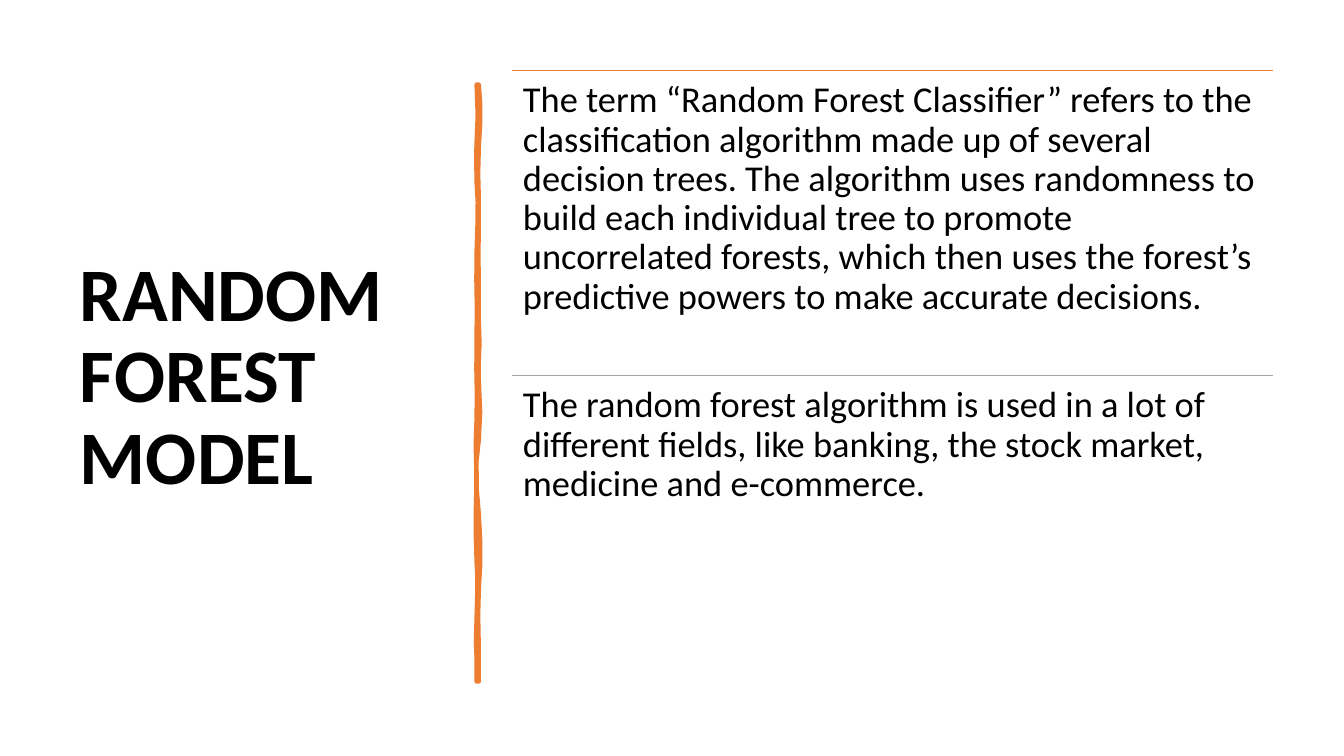
from typing import NamedTuple

from lxml.etree import SubElement
from pptx import Presentation
from pptx.dml.color import RGBColor
from pptx.enum.shapes import MSO_CONNECTOR
from pptx.enum.text import MSO_ANCHOR, MSO_AUTO_SIZE, PP_ALIGN
from pptx.oxml.ns import qn
from pptx.slide import Slide
from pptx.text.text import TextFrame
from pptx.util import Cm, Pt

COLORS = {"text": "000000", "accent": "ED7D31", "gray": "A5A5A5"}
FONT = "Calibri"
LEFT, WIDTH = 12.9, 19.18  # text column, cm
TOP, ROW_HEIGHT = 1.77, 7.69

# Divider outline, in inches
RIGHT_X, LEFT_X = 4.75, 4.73
DIVIDER_TOP, DIVIDER_BOTTOM = 0.84, 6.76
UNITS = 1000  # freeform units per inch
STEPS = 3  # line segments per curve


class Bend(NamedTuple):
    """A curve along one edge: two control points and the end height."""
    x1: float
    y1: float
    x2: float
    y2: float
    end: float


class Statement(NamedTuple):
    text: str
    rule: str


RIGHT_EDGE = [
    Bend(4.77, 1.02, 4.77, 1.19, 1.46), Bend(4.73, 1.73, 4.76, 1.95, 2.26),
    Bend(4.74, 2.57, 4.75, 2.62, 2.94), Bend(4.74, 3.25, 4.77, 3.42, 3.56),
    Bend(4.73, 3.7, 4.79, 4.14, 4.36), Bend(4.71, 4.57, 4.72, 4.84, 5.1),
    Bend(4.77, 5.36, 4.77, 5.64, 5.84), Bend(4.73, 6.03, 4.76, 6.5, 6.76),
]
LEFT_EDGE = [
    Bend(4.74, 6.46, 4.71, 6.44, 6.13), Bend(4.74, 5.83, 4.74, 5.7, 5.57),
    Bend(4.72, 5.44, 4.72, 4.95, 4.77), Bend(4.73, 4.59, 4.71, 4.45, 4.15),
    Bend(4.74, 3.86, 4.72, 3.73, 3.35), Bend(4.74, 2.98, 4.72, 2.81, 2.5),
    Bend(4.74, 2.18, 4.75, 2, 1.81), Bend(4.7, 1.63, 4.77, 1.04, 0.84),
]
STATEMENTS = [
    Statement("The term “Random Forest Classifier” refers to the classification "
              "algorithm made up of several decision trees. The algorithm uses "
              "randomness to build each individual tree to promote uncorrelated "
              "forests, which then uses the forest’s predictive powers to make "
              "accurate decisions.", "accent"),
    Statement("The random forest algorithm is used in a lot of different fields, "
              "like banking, the stock market, medicine and e-commerce.", "gray"),
]


def color(name: str) -> RGBColor:
    return RGBColor.from_string(COLORS[name])


def write(tf: TextFrame, text: str, size: int, bold: bool = False) -> None:
    tf.word_wrap = True
    tf.auto_size = MSO_AUTO_SIZE.NONE
    tf.text = text
    p = tf.paragraphs[0]
    p.alignment = PP_ALIGN.LEFT
    p.line_spacing = 0.9
    p.font.name, p.font.size, p.font.bold = FONT, Pt(size), bold
    p.font.color.rgb = color("text")


def edge(x: float, start: float, bends: list[Bend]) -> list[tuple[float, float]]:
    """Points along a chain of cubic curves whose ends share one x."""
    points = [(x * UNITS, start * UNITS)]
    for b in bends:
        for i in range(1, STEPS + 1):
            t = i / STEPS
            u = 1 - t
            px = (u**3 + t**3) * x + 3 * u * t * (u * b.x1 + t * b.x2)
            py = u**3 * start + 3 * u * t * (u * b.y1 + t * b.y2) + t**3 * b.end
            points.append((px * UNITS, py * UNITS))
        start = b.end
    return points


def draw_divider(s: Slide) -> None:
    points = (edge(RIGHT_X, DIVIDER_TOP, RIGHT_EDGE)
              + edge(LEFT_X, DIVIDER_BOTTOM, LEFT_EDGE))
    builder = s.shapes.build_freeform(*points[0], scale=Cm(2.54) / UNITS)
    builder.add_line_segments(points[1:], close=True)
    sp = builder.convert_to_shape()
    sp.shadow.inherit = False
    sp.fill.solid()
    sp.fill.fore_color.rgb = color("accent")
    sp.line.color.rgb = color("accent")
    sp.line.width = Pt(3.25)
    SubElement(sp._element.spPr.find(qn("a:ln")), qn("a:round"))


def draw_rule(s: Slide, y: float, name: str) -> None:
    line = s.shapes.add_connector(MSO_CONNECTOR.STRAIGHT, Cm(LEFT), Cm(y),
                                  Cm(LEFT + WIDTH), Cm(y))
    line.line.color.rgb = color(name)
    line.line.width = Pt(1)
    SubElement(line._element.spPr, qn("a:effectLst"))


def draw_statement(s: Slide, y: float, item: Statement) -> None:
    draw_rule(s, y, item.rule)
    tf = s.shapes.add_textbox(Cm(LEFT), Cm(y), Cm(WIDTH), Cm(ROW_HEIGHT)).text_frame
    tf.margin_left = tf.margin_right = tf.margin_top = tf.margin_bottom = Cm(0.28)
    write(tf, item.text, 26)


prs = Presentation()
prs.slide_width, prs.slide_height = Cm(33.87), Cm(19.05)
s = prs.slides.add_slide(prs.slide_layouts[5])

# Title
title = s.shapes.title
title.left, title.top, title.width, title.height = Cm(1.76), Cm(1.77), Cm(9.5), Cm(15.52)
title.text_frame.vertical_anchor = MSO_ANCHOR.MIDDLE
write(title.text_frame, "RANDOM FOREST MODEL", 54, bold=True)

# Hand-drawn divider
draw_divider(s)

# Statements
for row, item in enumerate(STATEMENTS):
    draw_statement(s, TOP + row * ROW_HEIGHT, item)

prs.save("out.pptx")
